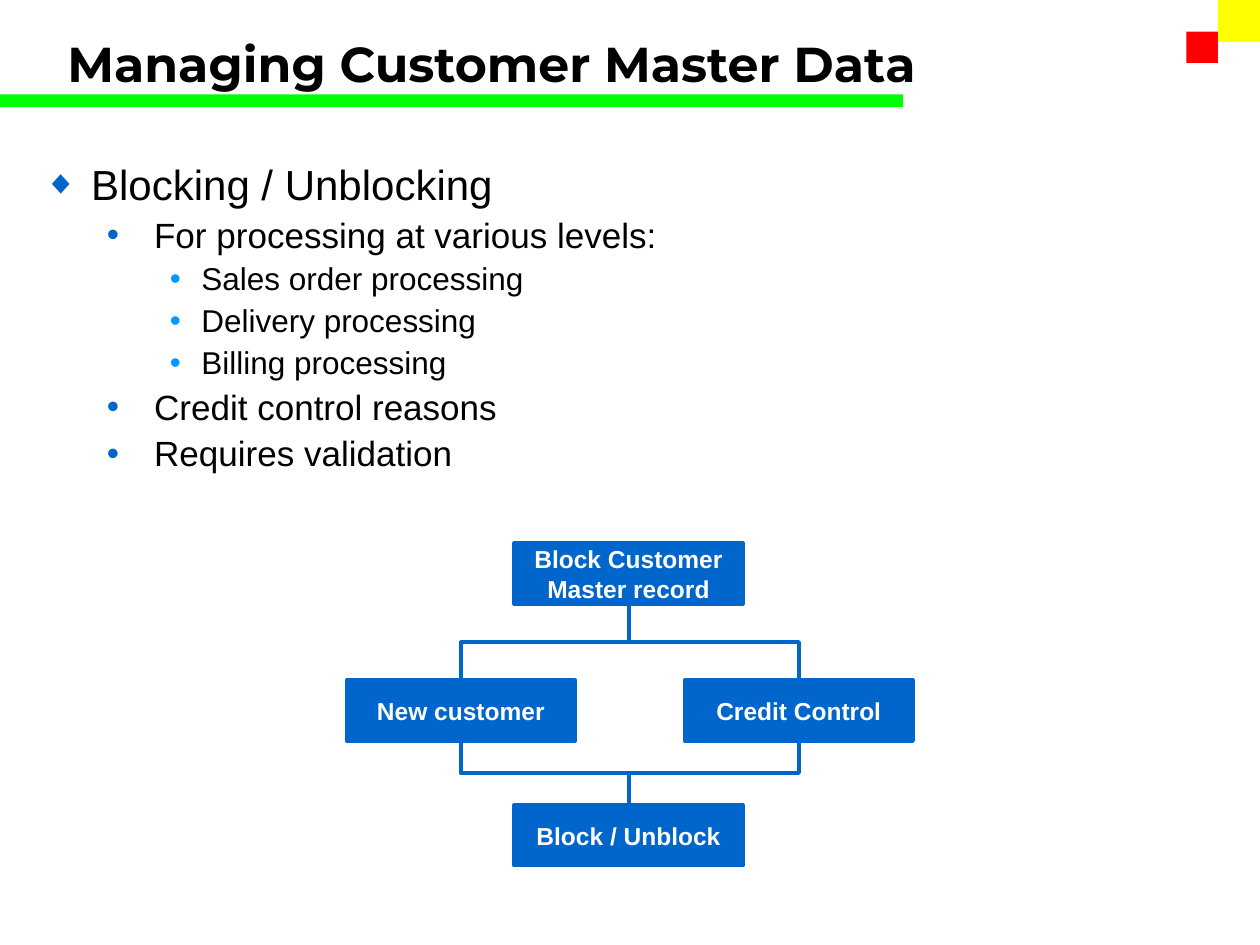
"""Build the slide on managing customer master data."""
import pptx
import pptx.dml.color
import pptx.enum.shapes
import pptx.enum.text
import pptx.oxml
import pptx.oxml.ns
import pptx.util

Pt = pptx.util.Pt
COLORS = {
    "black": "000000", "white": "FFFFFF", "blue": "0066CC", "light_blue": "0099FF",
    "green": "00FF00", "yellow": "FFFF00", "red": "FF0000",
}
LEVELS = [
    {"size": 24, "left": 27, "hanging": 27, "before": 0, "bullet": "◆", "bullet_color": "blue", "bullet_size": 80},
    {"size": 20, "left": 63, "hanging": 27, "before": 5, "bullet": "•", "bullet_color": "blue", "bullet_size": 100},
    {"size": 18, "left": 90, "hanging": 18, "before": 4.5, "bullet": "•", "bullet_color": "light_blue", "bullet_size": 100},
]
BULLETS = [
    (0, "Blocking / Unblocking"),
    (1, "For processing at various levels:"),
    (2, "Sales order processing"),
    (2, "Delivery processing"),
    (2, "Billing processing"),
    (1, "Credit control reasons"),
    (1, "Requires validation"),
]
BOX_WIDTH, BOX_HEIGHT = 130.5, 34.6
LEFT_X, CENTER_X, RIGHT_X = 263.4, 359.2, 456.5
TOP_Y, MIDDLE_Y, BOTTOM_Y = 310.4, 388.8, 460


def rgb(name):
    """Return the named colour as an RGB value."""
    return pptx.dml.color.RGBColor.from_string(COLORS[name])


def write_text(paragraph, text, *, size, color="black", font="Arial", bold=False, align="LEFT"):
    """Put formatted text into a paragraph."""
    paragraph.text = text
    paragraph.alignment = getattr(pptx.enum.text.PP_ALIGN, align)
    paragraph.font.size = Pt(size)
    paragraph.font.name = font
    paragraph.font.bold = bold
    paragraph.font.color.rgb = rgb(color)


def add_bullet(paragraph, level):
    """Give a paragraph its bullet, indent and spacing."""
    properties = paragraph._p.get_or_add_pPr()
    properties.set("marL", str(Pt(level["left"])))
    properties.set("indent", str(-Pt(level["hanging"])))
    namespace = pptx.oxml.ns.nsdecls("a")
    for xml in (
        f'<a:buClr {namespace}><a:srgbClr val="{COLORS[level["bullet_color"]]}"/></a:buClr>',
        f'<a:buSzPct {namespace} val="{level["bullet_size"] * 1000}"/>',
        f'<a:buFont {namespace} typeface="Arial"/>',
        f'<a:buChar {namespace} char="{level["bullet"]}"/>',
    ):
        properties.append(pptx.oxml.parse_xml(xml))
    paragraph.line_spacing = 0.9
    paragraph.space_before = Pt(level["before"])


def add_rectangle(slide, left, top, width, height, color):
    """Add a plain filled rectangle."""
    shape = slide.shapes.add_shape(
        pptx.enum.shapes.MSO_SHAPE.RECTANGLE, Pt(left), Pt(top), Pt(width), Pt(height))
    shape.shadow.inherit = False
    shape.fill.solid()
    shape.fill.fore_color.rgb = rgb(color)
    shape.line.fill.background()
    return shape


def add_text_frame(slide, left, top, width, height):
    """Add a wrapping text box and return its text frame."""
    frame = slide.shapes.add_textbox(Pt(left), Pt(top), Pt(width), Pt(height)).text_frame
    frame.word_wrap = True
    return frame


def add_title(slide, text):
    """Add the slide title."""
    frame = add_text_frame(slide, 31.5, 18, 664.5, 36)
    frame.vertical_anchor = pptx.enum.text.MSO_ANCHOR.MIDDLE
    write_text(frame.paragraphs[0], text, size=28, font="Montserrat", bold=True)


def add_bullet_list(slide, items):
    """Add the bulleted body text."""
    frame = add_text_frame(slide, 18, 90, 678, 198)
    for index, (depth, text) in enumerate(items):
        paragraph = frame.add_paragraph() if index else frame.paragraphs[0]
        paragraph.level = depth
        add_bullet(paragraph, LEVELS[depth])
        write_text(paragraph, text, size=LEVELS[depth]["size"])


def add_flow_box(slide, center_x, top, *lines):
    """Add a flow chart box with one paragraph for each line."""
    shape = add_rectangle(slide, center_x - BOX_WIDTH / 2, top, BOX_WIDTH, BOX_HEIGHT, "blue")
    shape.line.color.rgb = rgb("blue")
    shape.line.width = Pt(2.25)
    frame = shape.text_frame
    frame.word_wrap = False
    frame.vertical_anchor = pptx.enum.text.MSO_ANCHOR.MIDDLE
    for index, line in enumerate(lines):
        paragraph = frame.add_paragraph() if index else frame.paragraphs[0]
        write_text(paragraph, line, size=14, color="white", bold=True, align="CENTER")


def add_flow_line(slide, start_x, upper_top, end_x, lower_top):
    """Join the bottom of an upper box to the top of a lower one by an elbow."""
    start_y = upper_top + BOX_HEIGHT
    center_x, center_y = (start_x + end_x) / 2, (start_y + lower_top) / 2
    half_width, half_height = (lower_top - start_y) / 2, abs(end_x - start_x) / 2
    direction = -1 if end_x > start_x else 1
    connector = slide.shapes.add_connector(
        pptx.enum.shapes.MSO_CONNECTOR.ELBOW,
        Pt(center_x - direction * half_width), Pt(center_y - half_height),
        Pt(center_x + direction * half_width), Pt(center_y + half_height))
    connector.rotation = 90 * direction % 360
    connector.line.color.rgb = rgb("blue")
    connector.line.width = Pt(2.25)
    properties = connector._element.spPr
    properties.append(pptx.oxml.parse_xml(f'<a:effectLst {pptx.oxml.ns.nsdecls("a")}/>'))


def main():
    """Build and save the presentation."""
    presentation = pptx.Presentation()
    presentation.slide_width, presentation.slide_height = Pt(720), Pt(540)
    slide = presentation.slides.add_slide(presentation.slide_layouts[6])

    add_rectangle(slide, 0, 54, 516, 7.2, "green")
    add_rectangle(slide, 696, 0, 24, 24, "yellow")
    add_rectangle(slide, 678, 18, 18, 18, "red")
    add_title(slide, "Managing Customer Master Data")
    add_bullet_list(slide, BULLETS)

    for side_x in (LEFT_X, RIGHT_X):
        add_flow_line(slide, CENTER_X, TOP_Y, side_x, MIDDLE_Y)
        add_flow_line(slide, side_x, MIDDLE_Y, CENTER_X, BOTTOM_Y)
    add_flow_box(slide, LEFT_X, MIDDLE_Y, "New customer")
    add_flow_box(slide, RIGHT_X, MIDDLE_Y, "Credit Control")
    add_flow_box(slide, CENTER_X, BOTTOM_Y, "Block / Unblock")
    add_flow_box(slide, CENTER_X, TOP_Y, "Block Customer", "Master record")
    presentation.save("out.pptx")


if __name__ == "__main__":
    main()
